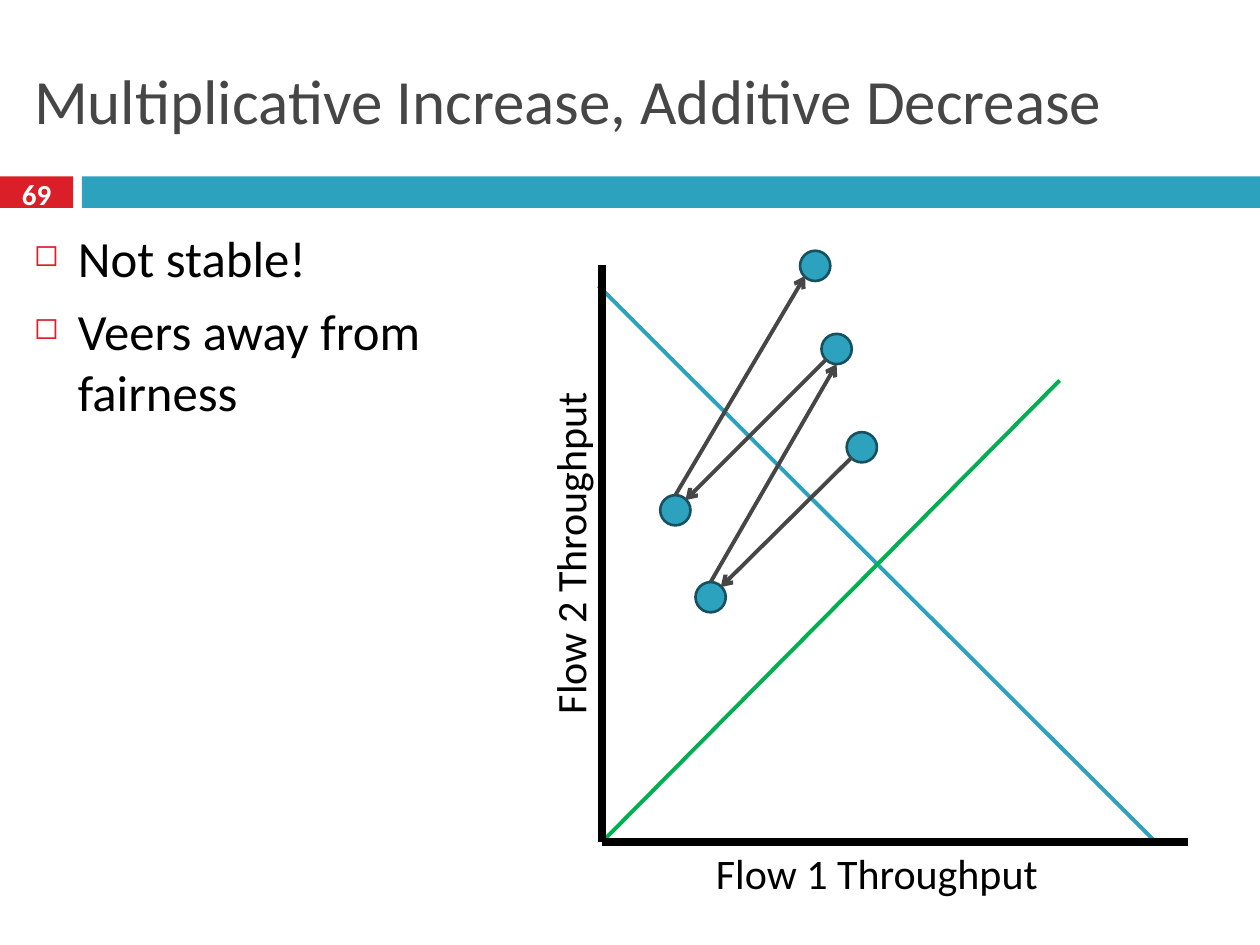
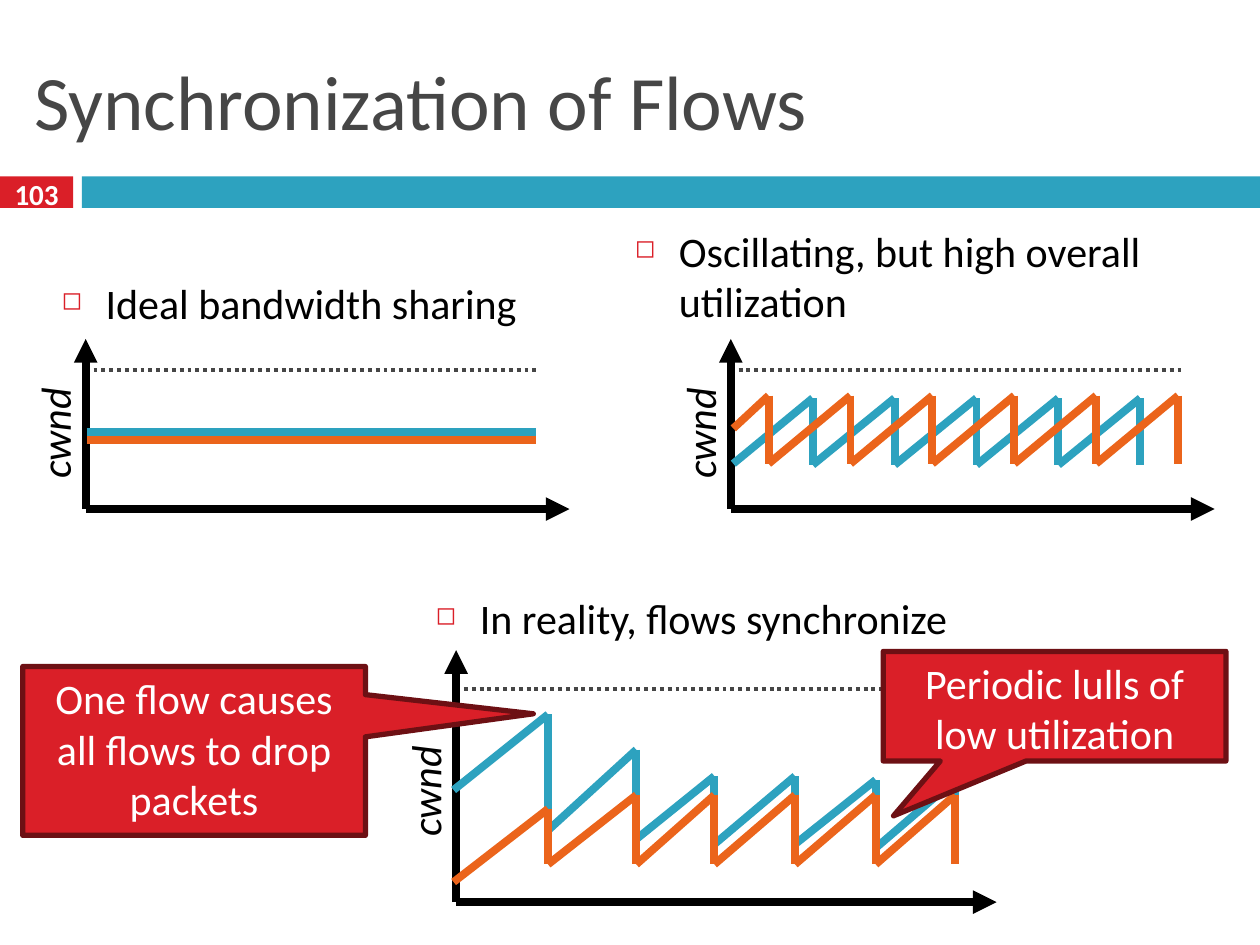
from itertools import pairwise
from lxml import etree
from pptx import Presentation
from pptx.dml.color import RGBColor as RGB
from pptx.enum.dml import MSO_LINE as Dash
from pptx.enum.shapes import MSO_CONNECTOR as Link, MSO_SHAPE as Form
from pptx.enum.text import MSO_ANCHOR as Anchor, MSO_AUTO_SIZE as Fit, PP_ALIGN as Align
from pptx.oxml.ns import qn
from pptx.util import Inches, Pt

FONT = "Calibri"
RED, DARK_RED = RGB(0xDA, 0x1F, 0x28), RGB(0x6D, 0x10, 0x14)
TEAL, DARK_TEAL = RGB(0x2D, 0xA2, 0xBF), RGB(0x17, 0x51, 0x60)
GREEN, ORANGE = RGB(0x00, 0xB0, 0x50), RGB(0xEB, 0x64, 0x1B)
GRAY, BLACK, WHITE = RGB(0x46, 0x46, 0x46), RGB(0, 0, 0), RGB(255, 255, 255)

# Slide 1 content: plot lines, dots by centre, and arrows between dot edges
PLOT_POINTS = ["Not stable!", "Veers away from fairness"]
PLOT_LINES = [
    ((4.75, 2.27), (9.17, 6.68), TEAL, 2.25),
    ((4.78, 6.68), (8.41, 3.02), GREEN, 2.25),
    ((4.78, 6.68), (9.43, 6.68), BLACK, 4.5),
    ((4.78, 6.68), (4.78, 2.1), BLACK, 4.5),
]
PLOT_LABELS = [("Flow 1 Throughput", 6.96, 6.93, 0),
               ("Flow 2 Throughput", 4.52, 4.39, 270)]
DOT = 0.24
DOTS = [(6.84, 3.55), (5.64, 4.74), (6.64, 2.77), (5.36, 4.05), (6.47, 2.11)]
EDGES = {"top": (0, -0.12), "bottom": (0, 0.12),
         "low left": (-0.08, 0.08), "high right": (0.08, -0.08)}
HOPS = [("low left", "high right"), ("top", "bottom"),
        ("low left", "high right"), ("top", "low left")]

# Slide 2 content: a flow is its colour, its start and its teeth (x, peak, trough)
SYNC_X = (4.35, 5.05, 5.67, 6.31, 6.95, 7.58)
CHARTS = [
    dict(text="Ideal bandwidth sharing", box=(0.39, 2.15, 4.16, 0.55),
         x=0.68, top=2.69, base=4.04, end=4.52, cap=2.94, cap_end=4.25, mid=3.44,
         flows=[(TEAL, (0.69, 3.43), [(4.25, 3.43, 3.43)]),
                (ORANGE, (0.69, 3.49), [(4.25, 3.49, 3.49)])]),
    dict(text="Oscillating, but high overall utilization", box=(4.94, 1.74, 4.91, 1.01),
         x=5.8, top=2.69, base=4.04, end=9.64, cap=2.94, cap_end=9.37, mid=3.44,
         flows=[(TEAL, (5.82, 3.68), [(6.45 + 0.65 * i, 3.16, 3.69) for i in range(5)]),
                (ORANGE, (5.82, 3.4), [(6.1 + 0.65 * i, 3.14, 3.68) for i in range(6)])]),
    dict(text="In reality, flows synchronize", box=(3.36, 4.65, 4.91, 0.51),
         x=3.62, top=5.16, base=7.16, end=7.91, cap=5.47, cap_end=7.91, mid=6.28,
         flows=[(TEAL, (3.6, 6.27), list(zip(SYNC_X,
                                             (5.67, 5.95, 6.16, 6.16, 6.19, 6.19),
                                             (6.59, 6.66, 6.7, 6.7, 6.73, 6.72)))),
                (ORANGE, (3.6, 7), [(x, 6.42 if x == SYNC_X[0] else 6.31, 6.86)
                                    for x in SYNC_X])]),
]
NOTES = [
    ("One flow causes all flows to drop packets", (0.18, 5.29, 2.72, 1.34), (0.99, -0.22)),
    ("Periodic lulls of low utilization", (7.01, 5.17, 2.72, 0.87), (-0.47, 1)),
]


def style(para, size, color, align=Align.LEFT, bold=False, italic=False):
    para.alignment = align
    font = para.font
    font.name, font.size, font.bold, font.italic = FONT, Pt(size), bold, italic
    font.color.rgb = color


def add_text(slide, text, box, size, color=BLACK, **looks):
    shape = slide.shapes.add_textbox(*map(Inches, box))
    frame = shape.text_frame
    frame.vertical_anchor = Anchor.MIDDLE
    frame.margin_left = frame.margin_right = 0
    frame.text = text
    style(frame.paragraphs[0], size, color, Align.CENTER, **looks)
    return shape


def add_label(slide, text, x, y, turn, wide=3, **looks):
    box = (x - wide / 2, y - 0.25, wide, 0.5)
    add_text(slide, text, box, 24, **looks).rotation = turn


def add_bullets(slide, items, box, size):
    frame = slide.shapes.add_textbox(*map(Inches, box)).text_frame
    frame.word_wrap = True
    for i, item in enumerate(items):
        para = frame.paragraphs[0] if i == 0 else frame.add_paragraph()
        para.text = item
        props = para._p.get_or_add_pPr()
        props.set("marL", str(Inches(0.35)))
        props.set("indent", str(-Inches(0.35)))
        tint = etree.SubElement(props, qn("a:buClr"))
        etree.SubElement(tint, qn("a:srgbClr"), val=str(RED))
        etree.SubElement(props, qn("a:buSzPct"), val="60000")
        etree.SubElement(props, qn("a:buChar"), char="◻")
        if i:
            para.space_before = Pt(7)
        style(para, size, BLACK)


def add_shape(slide, form, box, fill, edge=None, width=0):
    shape = slide.shapes.add_shape(form, *map(Inches, box))
    shape.shadow.inherit = False
    shape.fill.solid()
    shape.fill.fore_color.rgb = fill
    if edge is None:
        shape.line.fill.background()
    else:
        shape.line.color.rgb, shape.line.width = edge, Pt(width)
    return shape


def add_line(slide, start, end, color, width, tip=None, dash=None):
    """Draw a straight line; tip names the arrowhead at its end."""
    line = slide.shapes.add_connector(Link.STRAIGHT, *map(Inches, (*start, *end)))
    line.line.color.rgb, line.line.width = color, Pt(width)
    if dash:
        line.line.dash_style = dash
    if tip:
        etree.SubElement(line.line._get_or_add_ln(), qn("a:tailEnd"), type=tip)
    etree.SubElement(line._element.spPr, qn("a:effectLst"))


def add_slide(deck, title, size, number):
    slide = deck.slides.add_slide(deck.slide_layouts[5])
    add_shape(slide, Form.RECTANGLE, (0, 1.4, 0.58, 0.25), RED)
    add_shape(slide, Form.RECTANGLE, (0.65, 1.4, 9.35, 0.25), TEAL)
    head = slide.shapes.title
    head.left, head.top, head.width, head.height = map(Inches, (0.17, 0.25, 9.67, 1.08))
    frame = head.text_frame
    frame.text = title
    frame.auto_size, frame.vertical_anchor = Fit.NONE, Anchor.MIDDLE
    style(frame.paragraphs[0], size, GRAY)
    add_text(slide, number, (0, 1.37, 0.58, 0.33), 16.6, WHITE, bold=True)
    return slide


def add_chart(slide, chart):
    add_bullets(slide, [chart["text"]], chart["box"], 24)
    x, base, cap = chart["x"], chart["base"], chart["cap"]
    add_label(slide, "cwnd", x - 0.25, chart["mid"], 270, wide=1, italic=True)
    # Axes and capacity line
    add_line(slide, (x, cap), (chart["cap_end"], cap), GRAY, 2.25, dash=Dash.ROUND_DOT)
    add_line(slide, (x, base), (chart["end"], base), BLACK, 4.5, "triangle")
    add_line(slide, (x, base), (x, chart["top"]), BLACK, 4.5, "triangle")
    # Flows: each tooth rises to its peak, then drops
    for color, start, teeth in chart["flows"]:
        path = [start] + [(at, y) for at, *ends in teeth for y in ends]
        for a, b in pairwise(path):
            if a != b:
                add_line(slide, a, b, color, 4.5)


def add_note(slide, text, box, tip):
    note = add_shape(slide, Form.RECTANGULAR_CALLOUT, box, RED, DARK_RED, 3)
    note.adjustments[0], note.adjustments[1] = tip
    frame = note.text_frame
    frame.word_wrap, frame.vertical_anchor = True, Anchor.TOP
    frame.text = text
    style(frame.paragraphs[0], 24, WHITE, Align.CENTER)


def main():
    deck = Presentation()
    deck.slide_width, deck.slide_height = Inches(10), Inches(7.5)

    # Slide 1: throughput plot
    slide = add_slide(deck, "Multiplicative Increase, Additive Decrease", 36, "69")
    add_bullets(slide, PLOT_POINTS, (0.17, 1.75, 3.34, 5.58), 29)
    for label in PLOT_LABELS:
        add_label(slide, *label)
    for line in PLOT_LINES:
        add_line(slide, *line)
    for x, y in DOTS:
        add_shape(slide, Form.OVAL, (x - DOT / 2, y - DOT / 2, DOT, DOT),
                  TEAL, DARK_TEAL, 1.5)
    for dots, hop in zip(pairwise(DOTS), HOPS):
        start, end = [(x + EDGES[edge][0], y + EDGES[edge][1])
                      for (x, y), edge in zip(dots, hop)]
        add_line(slide, start, end, GRAY, 2.25, "arrow")

    # Slide 2: three window charts with callouts
    slide = add_slide(deck, "Synchronization of Flows", 44, "103")
    for chart in CHARTS:
        add_chart(slide, chart)
    for note in NOTES:
        add_note(slide, *note)

    deck.save("out.pptx")


if __name__ == "__main__":
    main()
